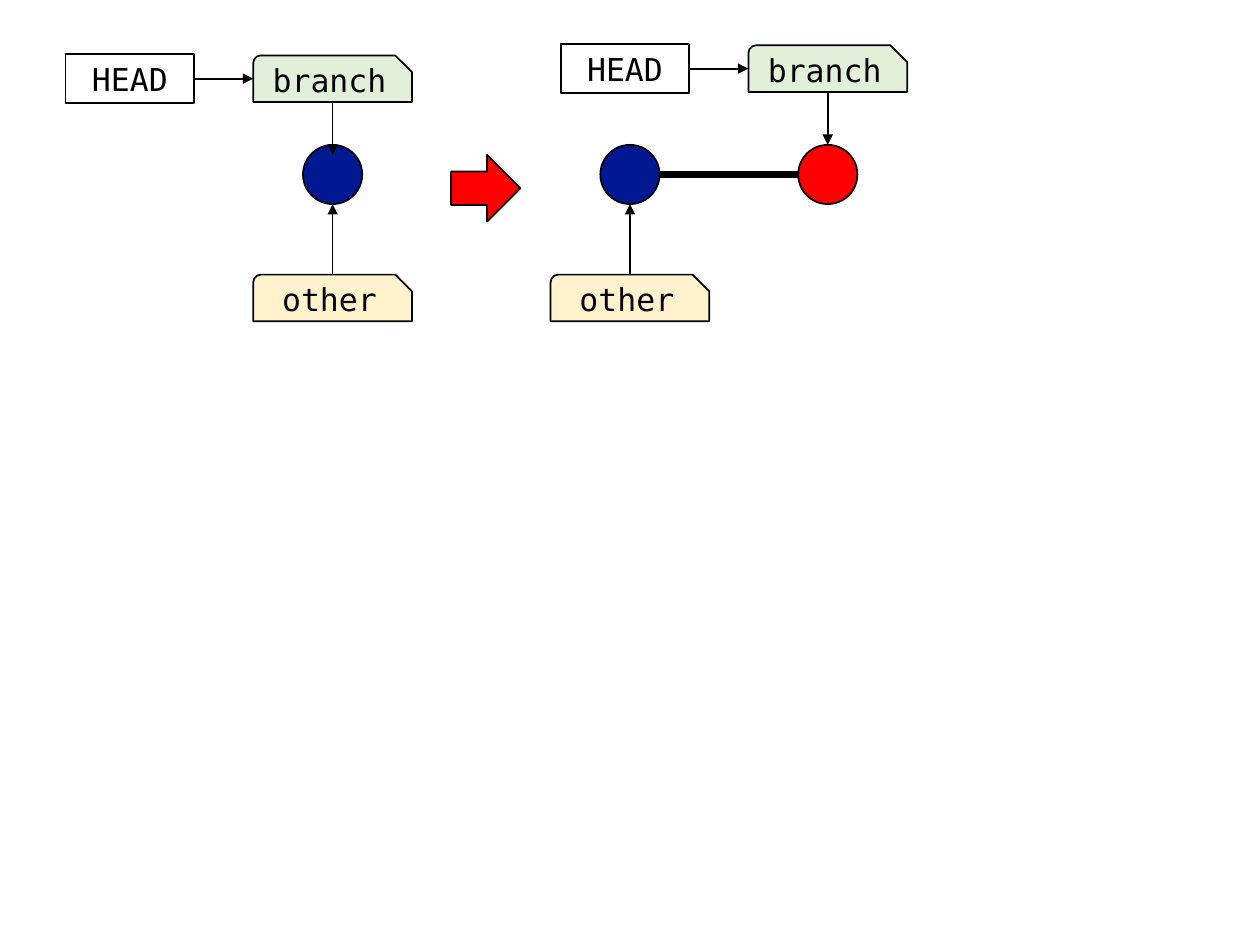
import pptx
import pptx.dml.color
import pptx.enum.shapes
import pptx.enum.text
import pptx.oxml
import pptx.oxml.ns
import pptx.util
from pptx.util import Inches

SHAPE = pptx.enum.shapes.MSO_SHAPE
BLACK, BLUE, RED = "000000", "011893", "FF0000"
GREEN, YELLOW = "E2F0D9", "FFF2CC"
TAG_WIDTH, TAG_HEIGHT = 1.26, 0.37
HEAD_WIDTH, HEAD_HEIGHT = 1.02, 0.39
HEAD_OFFSET = 1.49
COMMIT_SIZE = 0.47
COMMIT_Y = 1.385
OTHER_TOP = 2.18


def color(code):
    return pptx.dml.color.RGBColor.from_string(code)


def add_box(page, kind, left, top, width, height, fill=None):
    box = page.shapes.add_shape(kind, Inches(left), Inches(top),
                                Inches(width), Inches(height))
    box.shadow.inherit = False
    if fill:
        box.fill.solid()
        box.fill.fore_color.rgb = color(fill)
    else:
        box.fill.background()
    box.line.color.rgb = color(BLACK)
    box.line.width = pptx.util.Pt(1)
    return box


def write(box, text, size=18, font="DejaVu Sans Mono", code=BLACK):
    frame = box.text_frame
    frame.margin_left = frame.margin_right = 0
    frame.margin_top = frame.margin_bottom = 0
    frame.word_wrap = False
    frame.vertical_anchor = pptx.enum.text.MSO_ANCHOR.MIDDLE
    para = frame.paragraphs[0]
    para.alignment = pptx.enum.text.PP_ALIGN.CENTER
    span = para.add_run()
    span.text = text
    span.font.size = pptx.util.Pt(size)
    span.font.name = font
    span.font.color.rgb = color(code)


def add_line(page, start, end, width=1, arrow=True):
    line = page.shapes.add_connector(
        pptx.enum.shapes.MSO_CONNECTOR.STRAIGHT,
        *(Inches(value) for value in (*start, *end)))
    line.line.color.rgb = color(BLACK)
    line.line.width = pptx.util.Pt(width)
    if arrow:
        outline = line.line._get_or_add_ln()
        outline.append(pptx.oxml.parse_xml(
            f'<a:tailEnd {pptx.oxml.ns.nsdecls("a")} type="triangle"/>'))
    line._element.spPr.append(pptx.oxml.parse_xml(
        f'<a:effectLst {pptx.oxml.ns.nsdecls("a")}/>'))
    return line


def add_tag(page, text, center, top, fill):
    tag = add_box(page, SHAPE.SNIP_ROUND_RECTANGLE, center - TAG_WIDTH / 2,
                  top, TAG_WIDTH, TAG_HEIGHT, fill)
    tag.adjustments[0], tag.adjustments[1] = 0.167, 0.359
    write(tag, text)


def add_commit(page, center, fill):
    add_box(page, SHAPE.OVAL, center - COMMIT_SIZE / 2,
            COMMIT_Y - COMMIT_SIZE / 2, COMMIT_SIZE, COMMIT_SIZE, fill)


def add_branch(page, center, top, arrow_end):
    """Place HEAD and the branch tag, with the arrow down to the commit."""
    add_tag(page, "branch", center, top, GREEN)
    add_line(page, (center, top + TAG_HEIGHT), (center, arrow_end))
    tag_left = center - TAG_WIDTH / 2
    middle = top + TAG_HEIGHT / 2
    head = add_box(page, SHAPE.RECTANGLE, tag_left - HEAD_OFFSET,
                   middle - HEAD_HEIGHT / 2, HEAD_WIDTH, HEAD_HEIGHT)
    write(head, "HEAD")
    arrow = add_line(page, (tag_left - HEAD_OFFSET + HEAD_WIDTH, middle),
                     (tag_left, middle))
    arrow.begin_connect(head, 3)


def add_other(page, center):
    add_tag(page, "other", center, OTHER_TOP, YELLOW)
    add_line(page, (center, OTHER_TOP), (center, COMMIT_Y + COMMIT_SIZE / 2))


def draw_before(page, center):
    add_commit(page, center, BLUE)
    add_branch(page, center, 0.44, 1.23)
    add_other(page, center)


def draw_after(page, old, new):
    radius = COMMIT_SIZE / 2
    add_commit(page, new, RED)
    add_branch(page, new, 0.36, COMMIT_Y - radius)
    add_commit(page, old, BLUE)
    add_line(page, (old + radius, COMMIT_Y), (new - radius, COMMIT_Y),
             width=4.5, arrow=False)
    add_other(page, old)


def main():
    deck = pptx.Presentation()
    deck.slide_width, deck.slide_height = Inches(10), Inches(7.5)
    page = deck.slides.add_slide(deck.slide_layouts[6])
    draw_before(page, 2.64)
    draw_after(page, 5, 6.57)
    add_box(page, SHAPE.RIGHT_ARROW, 3.58, 1.23, 0.55, 0.53, RED)
    deck.save("out.pptx")


if __name__ == "__main__":
    main()
